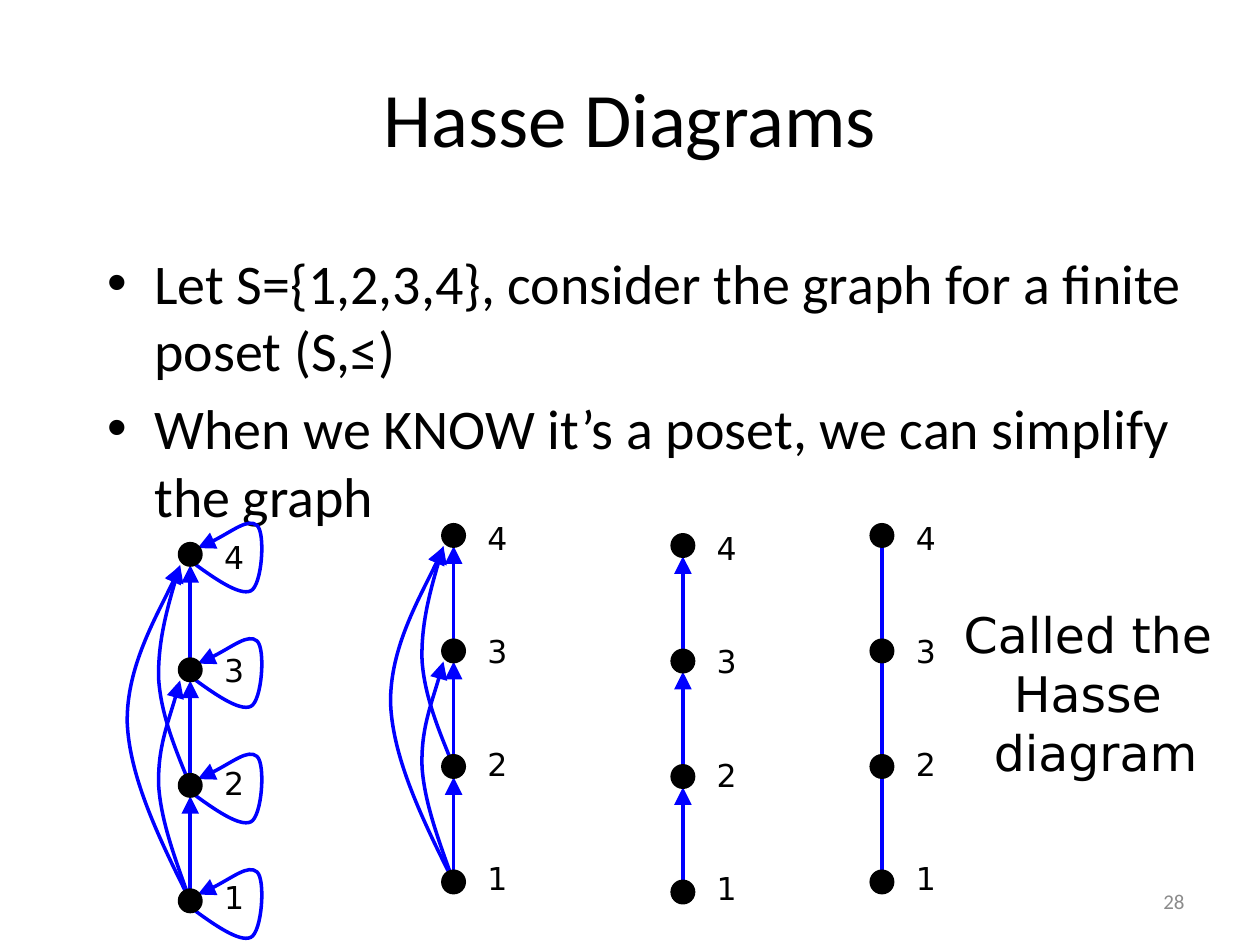
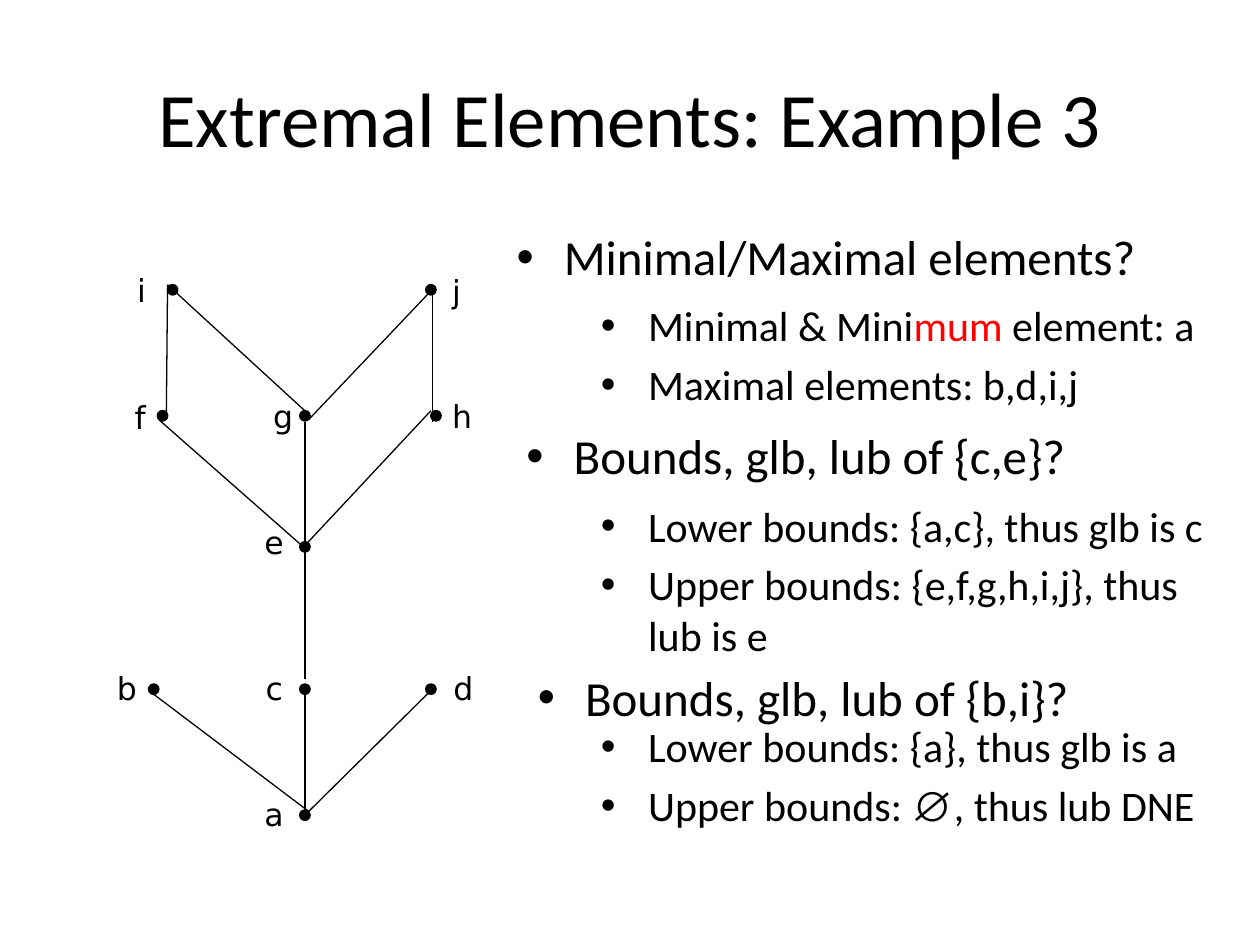
"""Build two slides on Hasse diagrams and extremal elements."""
from lxml import etree
from pptx import Presentation, util as u
from pptx.dml.color import RGBColor
from pptx.enum import shapes, text
from pptx.oxml.ns import qn

THEME = {
    "ink": "000000", "edge": "0000FF", "mark": "FF0000", "page": "8B8B8B",
    "font": "Calibri", "label": "DejaVu Sans", "symbol": "Arial",
    "title": 44, "body": 32, "head": 28, "item": 24, "small": 18, "foot": 12,
}
LEFT, MID, RIGHT = text.PP_ALIGN.LEFT, text.PP_ALIGN.CENTER, text.PP_ALIGN.RIGHT

TITLES = ["Hasse Diagrams", "Extremal Elements: Example 3"]
POINTS = [
    "Let S={1,2,3,4}, consider the graph for a finite poset (S,≤)",
    "When we KNOW it’s a poset, we can simplify the graph",
]
NOTE = ["Called the ", "Hasse ", "diagram"]
RANKS = ["4", "3", "2", "1"]
GRAPHS = [
    {"x": 1.51, "y": 4.4, "arrow": True, "skips": True, "loops": True},
    {"x": 3.6, "y": 4.25, "arrow": True, "skips": True, "loops": False},
    {"x": 5.42, "y": 4.33, "arrow": True, "skips": False, "loops": False},
    {"x": 7, "y": 4.25, "arrow": False, "skips": False, "loops": False},
]
STEP, DOT = 2.75 / 3, 0.17
LOOP = [(0, 0.05), (0.19, 0.19), (0.39, 0.33), (0.48, 0.29), (0.57, 0.25),
        (0.6, -0.17), (0.53, -0.23), (0.46, -0.29), (0.28, -0.14), (0.06, -0.05)]
SKIPS = [
    (3, [(0, 0), (-0.11, -0.31), (-0.23, -0.62), (-0.25, -0.91),
         (-0.26, -1.21), (-0.15, -1.48), (-0.08, -1.75)]),
    (2, [(0, 0), (-0.11, -0.27), (-0.23, -0.55), (-0.25, -0.84),
         (-0.26, -1.13), (-0.15, -1.53), (-0.08, -1.75)]),
    (3, [(0, 0), (-0.24, -0.48), (-0.48, -0.97), (-0.5, -1.41),
         (-0.51, -1.86), (-0.18, -2.41), (-0.08, -2.66)]),
]

HEAD = "Minimal/Maximal elements?"
BLOCKS = [
    ((4.08, 3.33, 5.75, 0.67), 0, ["Bounds, glb, lub of {c,e}?"]),
    ((4.17, 5.25, 5.75, 0.67), 0, ["Bounds, glb, lub of {b,i}?"]),
    ((4.17, 2.33, 5.75, 1), 1, [
        ["Minimal & Mini", ("mum", {"color": "mark"}), " element: a"],
        "Maximal elements: b,d,i,j"]),
    ((4.17, 3.92, 5.75, 1.42), 1, [
        "Lower bounds: {a,c}, thus glb is c",
        "Upper bounds: {e,f,g,h,i,j}, thus lub is e"]),
    ((4.17, 5.67, 5.75, 1.08), 1, [
        "Lower bounds: {a}, thus glb is a",
        ["Upper bounds: ", ("∅", {"face": "symbol"}), ", thus lub DNE"]]),
]
NODES = {
    "a": ((2.42, 6.47), (2, 6.26, 0.35)), "b": ((1.22, 5.47), (0.83, 5.26, 0.35)),
    "c": ((2.42, 5.47), (2.01, 5.26, 0.33)), "d": ((3.42, 5.47), (3.5, 5.26, 0.35)),
    "e": ((2.42, 4.34), (2, 4.1, 0.34)), "f": ((1.29, 3.3), (0.97, 3.11, 0.28)),
    "g": ((2.42, 3.3), (2.07, 3.1, 0.35)), "h": ((3.46, 3.3), (3.49, 3.1, 0.35)),
    "i": ((1.37, 2.3), (0.99, 2.1, 0.26)), "j": ((3.42, 2.3), (3.49, 2.11, 0.28)),
}
EDGES = [
    (1.32, 3.33, 1.33, 2.26), (2.45, 6.44, 1.22, 5.51), (2.45, 6.44, 3.4, 5.5),
    (2.42, 4.33, 3.42, 3.26), (2.43, 4.36, 1.26, 3.33), (3.43, 3.35, 3.43, 2.26),
    (2.43, 3.27, 1.33, 2.26), (2.45, 3.33, 3.4, 2.33), (2.42, 4.39, 2.42, 3.35),
    (2.42, 5.39, 2.42, 4.35), (2.42, 6.43, 2.42, 5.43),
]


def put(obj, vals):
    """Set each attribute named in a dict."""
    for key, val in vals.items():
        setattr(obj, key, val)


def tone(name):
    """Return a theme colour."""
    return RGBColor.from_string(THEME[name])


def place(shape, box):
    """Move a shape to a box in inches."""
    put(shape, dict(zip(("left", "top", "width", "height"), map(u.Inches, box))))


def dress(para, level):
    """Give a paragraph its bullet and hanging indent."""
    para.level = level
    props = para._p.get_or_add_pPr()
    props.set("marL", str(u.Pt(27 + 36 * level)))
    props.set("indent", str(u.Pt(-27)))
    color = etree.SubElement(props, qn("a:buClr"))
    etree.SubElement(color, qn("a:srgbClr"), val=THEME["ink"])
    etree.SubElement(props, qn("a:buFont"), typeface=THEME["symbol"])
    etree.SubElement(props, qn("a:buChar"), char="•")


def write(shape, paras, size, face="font", color="ink", align=LEFT, level=None,
          gap=0, lines=None, wrap=True, anchor=text.MSO_ANCHOR.TOP):
    """Fill a text shape with formatted paragraphs."""
    frame = shape.text_frame
    put(frame, {"word_wrap": wrap, "auto_size": text.MSO_AUTO_SIZE.NONE,
                "vertical_anchor": anchor})
    for n, parts in enumerate(paras):
        para = frame.add_paragraph() if n else frame.paragraphs[0]
        if level is not None:
            dress(para, level)
        put(para, {"alignment": align, "space_before": u.Pt(gap if n else 0)})
        if lines:
            para.line_spacing = lines
        for part in [parts] if isinstance(parts, str) else parts:
            words, own = (part, {}) if isinstance(part, str) else part
            run = para.add_run()
            run.text = words
            put(run.font, {"size": u.Pt(THEME[size]),
                           "name": THEME[own.get("face", face)]})
            run.font.color.rgb = tone(own.get("color", color))


def note(slide, box, paras, size, **style):
    """Add a text box."""
    write(slide.shapes.add_textbox(*map(u.Inches, box)), paras, size, **style)


def stroke(shape, color, width, arrow=False):
    """Style an outline, with an arrowhead if asked."""
    shape.line.color.rgb = tone(color)
    shape.line.width = u.Pt(width)
    if arrow:
        etree.SubElement(shape.line._get_or_add_ln(), qn("a:tailEnd"),
                         type="triangle", w="lg", len="lg")


def link(slide, ends, color, width, arrow=False):
    """Draw a straight edge."""
    line = slide.shapes.add_connector(shapes.MSO_CONNECTOR.STRAIGHT, *map(u.Inches, ends))
    stroke(line, color, width, arrow)
    etree.SubElement(line._element.spPr, qn("a:effectLst"))


def bend(shape):
    """Turn each three line segments of an outline into one cubic curve."""
    steps = list(shape._element.iter(qn("a:lnTo")))
    for n in range(0, len(steps), 3):
        cubic = etree.Element(qn("a:cubicBezTo"))
        steps[n].addprevious(cubic)
        for step in steps[n:n + 3]:
            cubic.append(step[0])
            step.getparent().remove(step)


def curve(slide, x, y, knots):
    """Draw a curved arrow from offsets around a point."""
    spots = [(u.Inches(x + dx), u.Inches(y + dy)) for dx, dy in knots]
    pen = slide.shapes.build_freeform(*spots[0])
    pen.add_line_segments(spots[1:], close=False)
    shape = pen.convert_to_shape()
    bend(shape)
    shape.shadow.inherit = False
    shape.fill.background()
    stroke(shape, "edge", 2, True)


def dot(slide, x, y, size, width):
    """Draw a node centred on a point."""
    box = (x - size / 2, y - size / 2, size, size)
    shape = slide.shapes.add_shape(shapes.MSO_SHAPE.OVAL, *map(u.Inches, box))
    shape.shadow.inherit = False
    shape.fill.solid()
    shape.fill.fore_color.rgb = tone("ink")
    stroke(shape, "ink", width)


def graph(slide, x, y, arrow, skips, loops):
    """Draw one grouped chain of four ranks with its edges."""
    group = slide.shapes.add_group_shape()
    rows = [y + STEP * n for n in range(len(RANKS))]
    note(group, (x + 0.17, y - 0.33, 0.34, 3.25), RANKS, "small", face="label",
         align=MID, lines=1.5, gap=32.3)
    for high, low in zip(rows, rows[1:]):
        link(group, (x, low, x, high + DOT / 2), "edge", 2, arrow)
    for row, knots in SKIPS if skips else []:
        curve(group, x, rows[row], knots)
    for row in rows:
        if loops:
            curve(group, x, row, LOOP)
        dot(group, x, row, DOT, 2)


def start(deck, title, box, paras, size, gap):
    """Add a slide with its title and body list."""
    slide = deck.slides.add_slide(deck.slide_layouts[1])
    head, body = slide.placeholders
    place(head, (0.5, 0.3, 9, 1.25))
    write(head, [title], "title", align=MID, anchor=text.MSO_ANCHOR.MIDDLE)
    place(body, box)
    write(body, paras, size, level=0, gap=gap)
    return slide


def main():
    """Build and save the deck."""
    deck = Presentation()
    put(deck, {"slide_width": u.Inches(10), "slide_height": u.Inches(7.5)})

    slide = start(deck, TITLES[0], (0.75, 1.92, 8.83, 5.25), POINTS, "body", 6.4)
    note(slide, (7.17, 6.95, 2.33, 0.4), ["28"], "foot", color="page", align=RIGHT,
         anchor=text.MSO_ANCHOR.MIDDLE)
    for chain in GRAPHS:
        graph(slide, **chain)
    note(slide, (7.55, 4.75, 2.29, 1.5), NOTE, "head", face="label", align=MID, wrap=False)

    slide = start(deck, TITLES[1], (4, 1.75, 5.75, 0.67), [HEAD], "head", 5.6)
    for ends in EDGES:
        link(slide, ends, "ink", 0.75)
    for name, (spot, (left, top, width)) in NODES.items():
        dot(slide, *spot, 0.08, 1)
        note(slide, (left, top, width, 0.4), [name], "small", face="label", wrap=False)
    for box, level, paras in BLOCKS:
        note(slide, box, paras, ("head", "item")[level], level=level, gap=4.8)

    deck.save("out.pptx")


if __name__ == "__main__":
    main()
